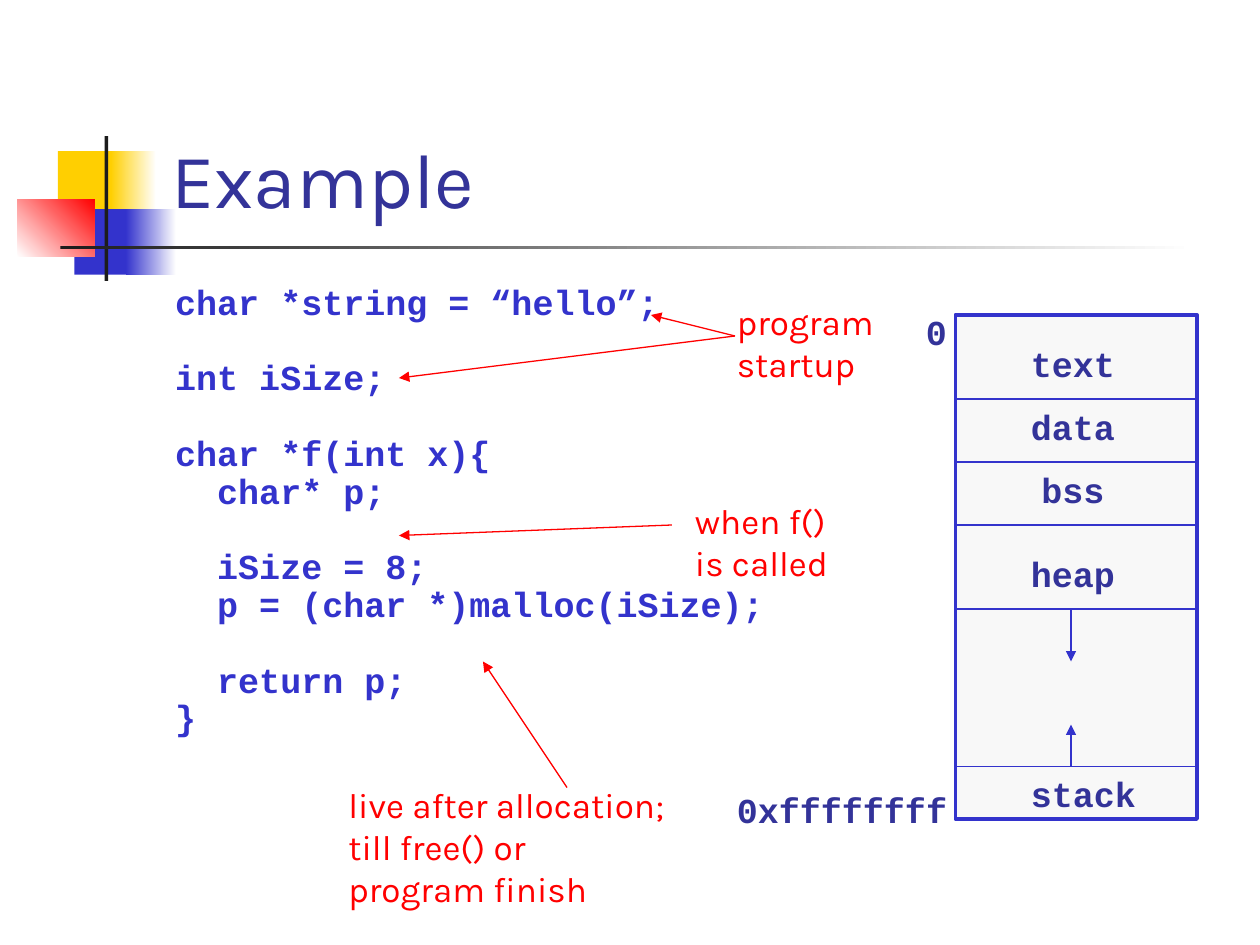
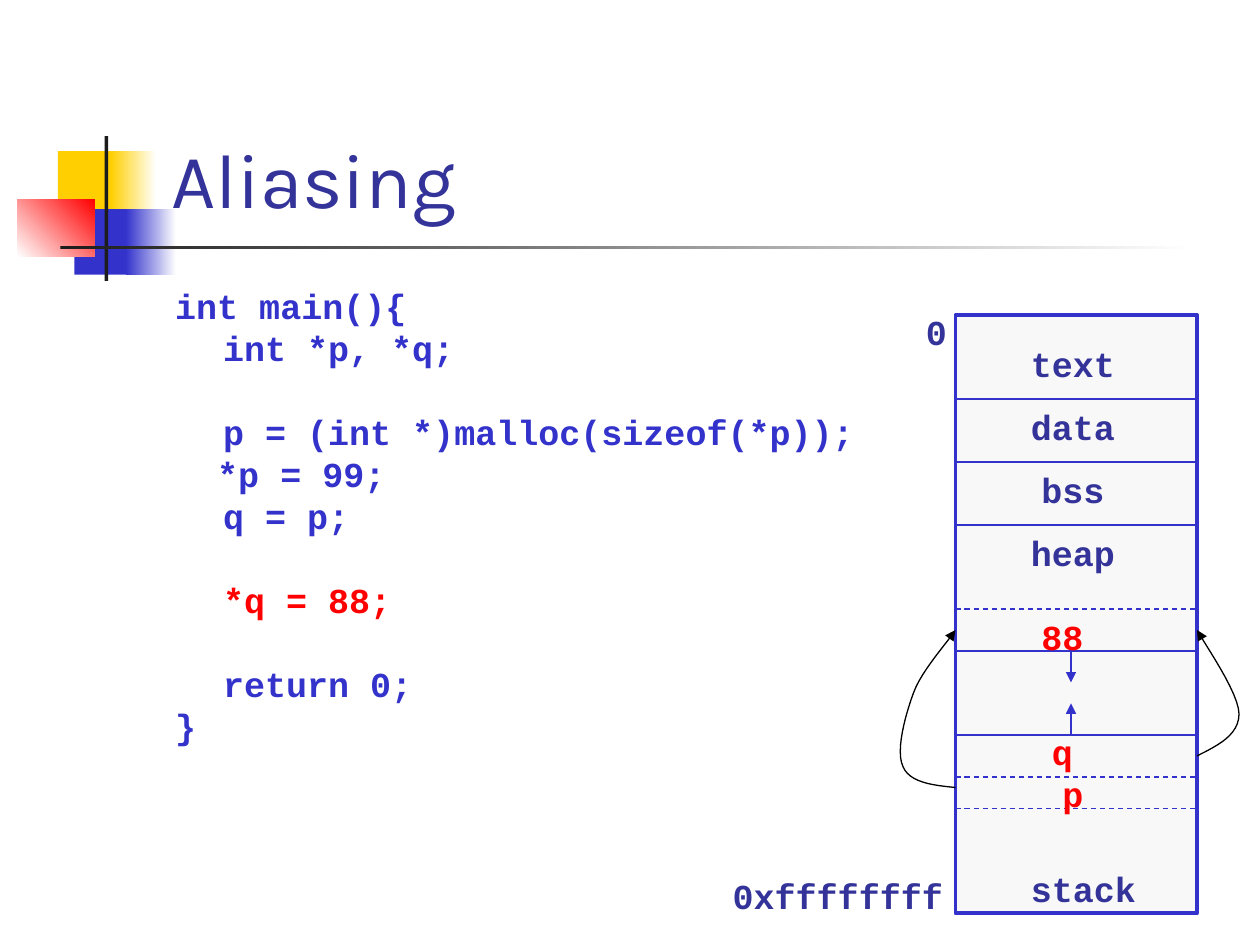
"""Build two slides on C memory layout: variable lifetimes and pointer aliasing."""

from lxml.etree import SubElement
from pptx import Presentation
from pptx.dml.color import RGBColor
from pptx.enum.dml import MSO_LINE
from pptx.enum.shapes import MSO_CONNECTOR, MSO_SHAPE
from pptx.enum.text import MSO_ANCHOR, MSO_AUTO_SIZE, PP_ALIGN
from pptx.oxml.ns import qn
from pptx.util import Inches, Pt

BLUE, NAVY, RED, YELLOW = "3333CC", "333399", "FF0000", "FFCF01"
BLACK, INK, WHITE, PALE = "000000", "1C1C1C", "FFFFFF", "F8F8F8"
CODE_FONT, TEXT_FONT = "Courier New", "Karla"
CODE_SIZE, LINE_HEIGHT = 20, 24
CODE_INDENT = 0.38

# Diagram lengths are in grid units of one twelfth of an inch.
GRID = 12
MEMORY_LEFT, MEMORY_TOP, MEMORY_WIDTH = 91, 30, 23
MEMORY_RIGHT = MEMORY_LEFT + MEMORY_WIDTH
GROWTH_COLUMN = 102
LABEL_HEIGHT = 5.2

DECORATION = [
    (0.46, 1.2, 0.48, 0.52, [YELLOW], 0),
    (0.88, 1.2, 0.36, 0.52, [YELLOW, WHITE], 0),
    (0.59, 1.66, 0.46, 0.52, [BLUE], 0),
    (1, 1.66, 0.4, 0.52, [BLUE, WHITE], 0),
    (0.14, 1.58, 0.61, 0.46, [WHITE, RED], 45),
    (0.83, 1.08, 0.03, 1.15, [INK], 0),
    (0.48, 1.95, 9, 0.03, [INK, WHITE], 0),
]

SHARED_LABELS = [("0", 87, 29, 5), ("text", 97, 32, 15), ("data", 97, 38, 14), ("bss", 98, 44, 10)]
SHARED_DIVIDERS = [38, 44, 50]

SLIDES = [
    {
        "title": "Example",
        "code": [
            "char *string = “hello”;",
            "",
            "int iSize;",
            "",
            "char *f(int x){",
            "  char* p;",
            "",
            "  iSize = 8;",
            "  p = (char *)malloc(iSize);",
            "",
            "  return p;",
            "}",
        ],
        "code_width": 5.96,
        "spacing": 0.9,
        "memory_bottom": 78,
        "labels": [("0xffffffff", 69, 74.5, 23), ("heap", 97, 52, 13), ("stack", 97, 73, 15)],
        "values": [],
        "solid": [58, 73],
        "dashed": [],
        "growth": [(58, 63), (73, 69)],
        "notes": [
            ("program startup", 69, 28, 17, 9.2, (70, 32), [(62, 30), (38, 36)]),
            ("when f() is called", 65, 47, 17, 9.2, (64, 50), [(38, 51)]),
            ("live after allocation; till free() or program finish", 32, 74, 33, 13.2, (54, 75), [(46, 63)]),
        ],
        "pointers": [],
    },
    {
        "title": "Aliasing",
        "code": [
            "int main(){",
            "\tint *p, *q;",
            "",
            "\tp = (int *)malloc(sizeof(*p));",
            "  *p = 99;",
            "\tq = p;",
            "",
            "\t*q = 88;",
            "",
            "\treturn 0;",
            "}",
        ],
        "highlight": "\t*q = 88;",
        "code_width": 8.5,
        "spacing": 1,
        "memory_bottom": 87,
        "labels": [("0xffffffff", 68.6, 82.7, 23), ("heap", 97, 50, 15), ("stack", 97, 82, 15)],
        "values": [("88", 98, 58, 9), ("p", 100, 73, 10), ("q", 99, 69, 10)],
        "solid": [62, 70],
        "dashed": [58, 74, 77],
        "growth": [(62, 65), (70, 67)],
        "notes": [],
        "pointers": [
            [(91, 75), (88.8, 74.8), (86.6, 74.5), (86, 73), (85.3, 71.5),
             (86.2, 68.2), (87, 66), (87.8, 63.8), (90.4, 61), (91, 60)],
            [(114, 72), (116, 71), (118, 70), (118, 68), (118, 66), (114.7, 61.3), (114, 60)],
        ],
    },
]


def color(hex_string):
    return RGBColor.from_string(hex_string)


def units(*lengths):
    return [Inches(length / GRID) for length in lengths]


def style_runs(para, font, size, hex_string, bold=False):
    for span in para.runs:
        span.font.name = font
        span.font.size = Pt(size)
        span.font.bold = bold
        span.font.color.rgb = color(hex_string)


def style_line(shape, hex_string, width, arrow=False, dashed=False):
    shape.line.color.rgb = color(hex_string)
    shape.line.width = Pt(width)
    if dashed:
        shape.line.dash_style = MSO_LINE.DASH
    if arrow:
        outline = shape.element.spPr.find(qn("a:ln"))
        SubElement(outline, qn("a:tailEnd"), type="triangle")


def decorate_layout(layout, slide):
    for left, top, width, height, colors, angle in DECORATION:
        block = slide.shapes.add_shape(
            MSO_SHAPE.RECTANGLE, Inches(left), Inches(top), Inches(width), Inches(height))
        block.shadow.inherit = False
        block.line.fill.background()
        if len(colors) == 1:
            block.fill.solid()
            block.fill.fore_color.rgb = color(colors[0])
        else:
            block.fill.gradient()
            block.fill.gradient_angle = angle
            for stop, hex_string in zip(block.fill.gradient_stops, colors):
                stop.color.rgb = color(hex_string)
        layout.shapes.element.append(block.element)


def place(placeholder, left, top, width, height):
    placeholder.left, placeholder.top = Inches(left), Inches(top)
    placeholder.width, placeholder.height = Inches(width), Inches(height)
    placeholder.text_frame.auto_size = MSO_AUTO_SIZE.NONE


def write_title(slide, text):
    title = slide.shapes.title
    place(title, 1.26, 0.23, 8.52, 1.6)
    title.text_frame.text = text
    title.text_frame.vertical_anchor = MSO_ANCHOR.BOTTOM
    para = title.text_frame.paragraphs[0]
    para.alignment = PP_ALIGN.LEFT
    style_runs(para, TEXT_FONT, 44, NAVY)


def write_code(slide, content):
    body = slide.placeholders[1]
    place(body, 1.29, 2.21, content["code_width"], 4.5)
    frame = body.text_frame
    gap = 0
    for number, line in enumerate(content["code"]):
        if not line:
            gap += LINE_HEIGHT * content["spacing"]
            continue
        para = frame.add_paragraph() if number else frame.paragraphs[0]
        para.text = line
        properties = para._p.get_or_add_pPr()
        properties.set("marL", str(Inches(CODE_INDENT)))
        properties.set("indent", str(-Inches(CODE_INDENT)))
        SubElement(properties, qn("a:buNone"))
        para.line_spacing = float(content["spacing"])
        para.space_before = Pt(gap)
        shade = RED if line == content.get("highlight") else BLUE
        style_runs(para, CODE_FONT, CODE_SIZE, shade, bold=True)
        gap = 0


def add_text(slide, text, left, top, width, height, font, hex_string, bold):
    box = slide.shapes.add_textbox(*units(left, top, width, height))
    box.text_frame.word_wrap = True
    box.text_frame.text = text
    style_runs(box.text_frame.paragraphs[0], font, CODE_SIZE, hex_string, bold)


def add_line(slide, start, end, hex_string, arrow=False, dashed=False):
    line = slide.shapes.add_connector(MSO_CONNECTOR.STRAIGHT, *units(*start, *end))
    style_line(line, hex_string, 0.75, arrow, dashed)
    SubElement(line.element.spPr, qn("a:effectLst"))


def curve_points(knots, steps=12):
    points = [knots[0]]
    for first in range(0, len(knots) - 1, 3):
        segment = knots[first:first + 4]
        for step in range(1, steps + 1):
            t = step / steps
            weights = ((1 - t) ** 3, 3 * t * (1 - t) ** 2, 3 * t * t * (1 - t), t ** 3)
            points.append(tuple(
                sum(weight * knot[axis] for weight, knot in zip(weights, segment))
                for axis in (0, 1)))
    return points


def add_pointer(slide, knots):
    start, *rest = [units(*point) for point in curve_points(knots)]
    builder = slide.shapes.build_freeform(*start)
    builder.add_line_segments(rest, close=False)
    pointer = builder.convert_to_shape()
    pointer.shadow.inherit = False
    pointer.fill.background()
    style_line(pointer, BLACK, 0.75, arrow=True)


def draw_memory(slide, content):
    memory = slide.shapes.add_shape(MSO_SHAPE.RECTANGLE, *units(
        MEMORY_LEFT, MEMORY_TOP, MEMORY_WIDTH, content["memory_bottom"] - MEMORY_TOP))
    memory.shadow.inherit = False
    memory.fill.solid()
    memory.fill.fore_color.rgb = color(PALE)
    style_line(memory, BLUE, 2.25)

    for rows, dashed in ((SHARED_DIVIDERS + content["solid"], False), (content["dashed"], True)):
        for row in rows:
            add_line(slide, (MEMORY_LEFT, row), (MEMORY_RIGHT, row), BLUE, dashed=dashed)
    for start, end in content["growth"]:
        add_line(slide, (GROWTH_COLUMN, start), (GROWTH_COLUMN, end), BLUE, arrow=True)
    for labels, shade in ((SHARED_LABELS + content["labels"], NAVY), (content["values"], RED)):
        for text, left, top, width in labels:
            add_text(slide, text, left, top, width, LABEL_HEIGHT, CODE_FONT, shade, True)
    for knots in content["pointers"]:
        add_pointer(slide, knots)


def add_notes(slide, notes):
    for text, left, top, width, height, start, targets in notes:
        add_text(slide, text, left, top, width, height, TEXT_FONT, RED, False)
        for target in targets:
            add_line(slide, start, target, RED, arrow=True)


def main():
    deck = Presentation()
    deck.slide_width, deck.slide_height = Inches(10), Inches(7.5)
    layout = deck.slide_layouts[1]
    for number, content in enumerate(SLIDES):
        slide = deck.slides.add_slide(layout)
        if number == 0:
            decorate_layout(layout, slide)
        write_title(slide, content["title"])
        write_code(slide, content)
        draw_memory(slide, content)
        add_notes(slide, content["notes"])
    deck.save("out.pptx")


if __name__ == "__main__":
    main()
